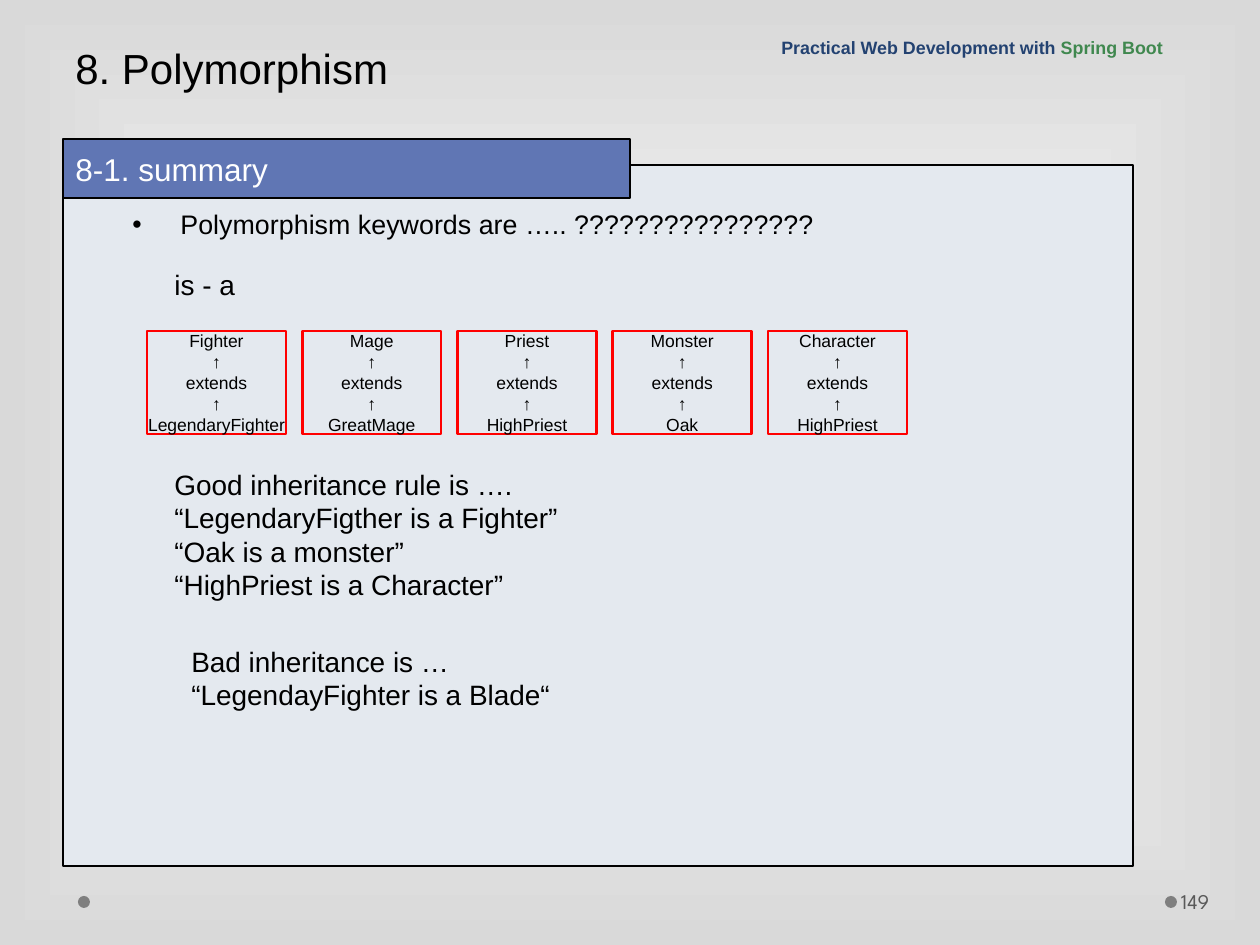
from lxml import etree
from pptx import Presentation, util as u
from pptx.dml.color import RGBColor
from pptx.enum import shapes, text
from pptx.oxml.ns import qn

EMU_PER_PX = u.Inches(1) / 126
BLACK = "000000"
GREY = "7F7F7F"
MIDDLE = text.MSO_ANCHOR.MIDDLE
BOTTOM = text.MSO_ANCHOR.BOTTOM
TOP = text.MSO_ANCHOR.TOP


def px(length):
    return u.Emu(round(length * EMU_PER_PX))


def colour(hex_value):
    return RGBColor.from_string(hex_value)


def add_block(slide, box, kind=shapes.MSO_SHAPE.RECTANGLE, fill=None, line=None, weight=0.75):
    block = slide.shapes.add_shape(kind, *map(px, box))
    block.shadow.inherit = False
    if fill:
        block.fill.solid()
        block.fill.fore_color.rgb = colour(fill)
    else:
        block.fill.background()
    if line:
        block.line.color.rgb = colour(line)
        block.line.width = u.Pt(weight)
    else:
        block.line.fill.background()
    return block


def write(holder, lines, size, ink=BLACK, font="Arial", bold=False, anchor=TOP,
          align=text.PP_ALIGN.LEFT, spacing=None, wrap=True):
    frame = holder.text_frame
    frame.word_wrap = wrap
    frame.vertical_anchor = anchor
    for index, runs in enumerate(lines):
        paragraph = frame.paragraphs[0] if index == 0 else frame.add_paragraph()
        paragraph.alignment = align
        if spacing:
            paragraph.line_spacing = spacing
        for words, run_ink in ([(runs, ink)] if isinstance(runs, str) else runs):
            run = paragraph.add_run()
            run.text = words
            run.font.size = u.Pt(size)
            run.font.name = font
            run.font.bold = bold
            run.font.color.rgb = colour(run_ink)
    return frame


def add_text(slide, box, lines, size, **style):
    return write(slide.shapes.add_textbox(*map(px, box)), lines, size, **style)


def paint_background(slide):
    fill = slide.background.fill
    fill.gradient()
    for stop, position, tone in zip(fill.gradient_stops, (0, 1), ("FFFFFF", "D9D9D9")):
        stop.position = position
        stop.color.rgb = colour(tone)
    gradient = slide.background._cSld.find(".//" + qn("a:gradFill"))
    gradient.remove(gradient.find(qn("a:lin")))
    spread = etree.SubElement(gradient, qn("a:path"))
    spread.set("path", "rect")
    focus = etree.SubElement(spread, qn("a:fillToRect"))
    for side in "ltrb":
        focus.set(side, "50000")


def add_header(slide, box):
    left, top, width, height = box
    add_text(slide, box, ["8. Polymorphism"], 24, anchor=BOTTOM, spacing=u.Pt(58))
    course = [("Practical Web Development with ", "234271"), ("Spring Boot", "40884F")]
    add_text(slide, (left + 706, top + 30, 491, 35), [course], 10.2,
             bold=True, anchor=BOTTOM, spacing=0.9)


def add_footer(slide, box):
    left, top, width, height = box
    for dot_left in (left, left + 1087):
        add_block(slide, (dot_left, top + 20, 12, 12), shapes.MSO_SHAPE.OVAL, GREY)
    page = add_text(slide, (left + 1099, top, 77, height), ["149"], 12, ink="595959",
                    font="League Spartan", anchor=MIDDLE)
    page.margin_left = px(4)
    page.margin_right = px(6)


def add_bullet(slide, box, words):
    frame = add_text(slide, box, [words], 15.3, spacing=0.9)
    properties = frame.paragraphs[0]._p.get_or_add_pPr()
    properties.set("marL", str(px(48)))
    properties.set("indent", str(-px(48)))
    bullet_ink = etree.SubElement(properties, qn("a:buClr"))
    etree.SubElement(bullet_ink, qn("a:srgbClr")).set("val", BLACK)
    etree.SubElement(properties, qn("a:buFont")).set("typeface", "Arial")
    etree.SubElement(properties, qn("a:buChar")).set("char", "•")


def add_inheritance_row(slide, box, pairs, card_width):
    left, top, width, height = box
    pitch = (width - card_width) / (len(pairs) - 1)
    for index, (parent, child) in enumerate(pairs):
        card = add_block(slide, (left + index * pitch, top, card_width, height),
                         line="FF0000", weight=1.5)
        write(card, [parent, "↑", "extends", "↑", child], 10, anchor=MIDDLE,
              align=text.PP_ALIGN.CENTER, wrap=False)


def add_summary(slide, box):
    left, top, width, height = box
    add_block(slide, box, fill="E4E9EF", line=BLACK)
    heading = add_block(slide, (left, top - 26, 567, 59), fill="6076B4", line=BLACK)
    write(heading, ["8-1. summary"], 18, ink="FFFFFF", anchor=MIDDLE)
    add_bullet(slide, (left + 57, top + 40, 965, 48),
               "Polymorphism keywords are ….. ????????????????")
    add_text(slide, (left + 99, top + 96, 96, 47), ["is - a"], 16)
    add_inheritance_row(slide, (left + 84, top + 166, 760, 103), [
        ("Fighter", "LegendaryFighter"),
        ("Mage", "GreatMage"),
        ("Priest", "HighPriest"),
        ("Monster", "Oak"),
        ("Character", "HighPriest"),
    ], 139)
    add_text(slide, (left + 99, top + 296, 770, 147), [
        "Good inheritance rule is ….",
        "“LegendaryFigther is a Fighter”",
        "“Oak is a monster”",
        "“HighPriest is a Character”",
    ], 16)
    add_text(slide, (left + 116, top + 473, 770, 81), [
        "Bad inheritance is …",
        "“LegendayFighter is a Blade“",
    ], 16)


def main():
    deck = Presentation()
    deck.slide_width = px(1260)
    deck.slide_height = px(945)
    slide = deck.slides.add_slide(deck.slide_layouts[6])
    paint_background(slide)
    add_footer(slide, (78, 876, 1176, 50))
    add_summary(slide, (63, 165, 1070, 701))
    add_header(slide, (63, 0, 1197, 99))
    deck.save("out.pptx")


if __name__ == "__main__":
    main()
